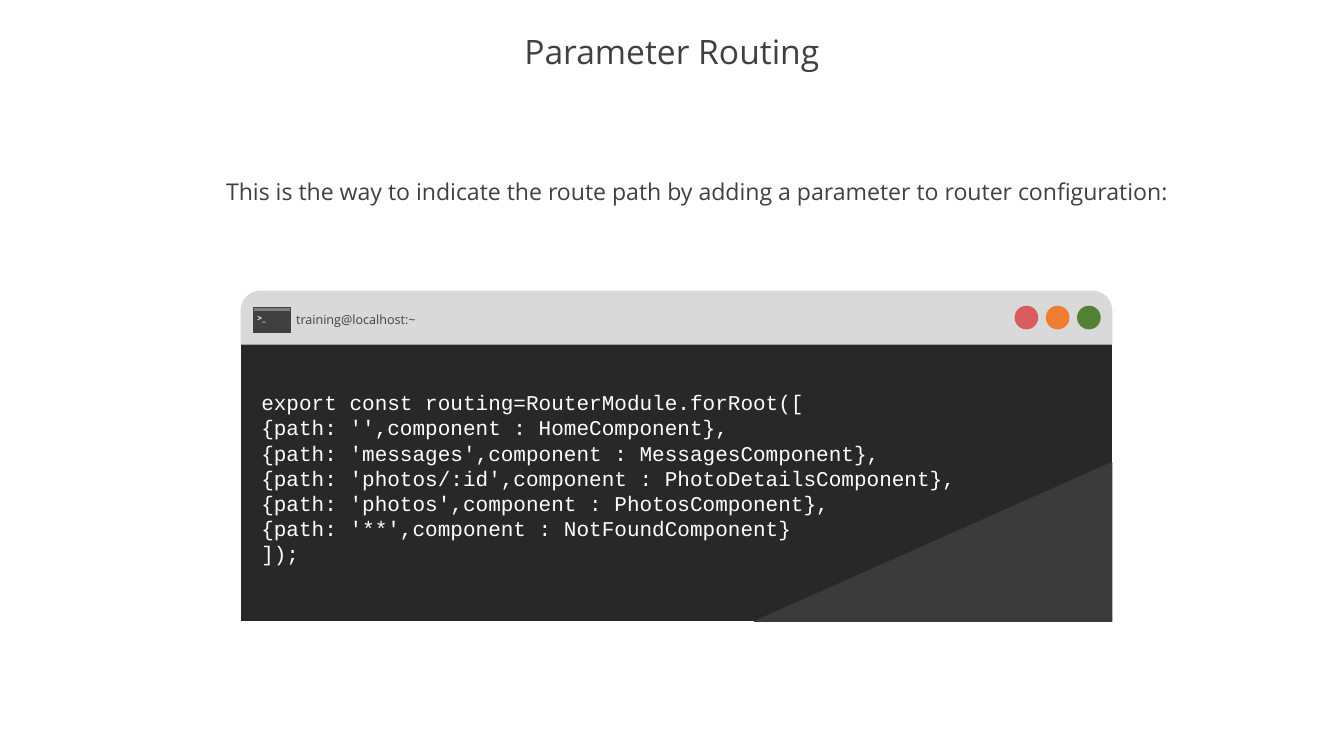
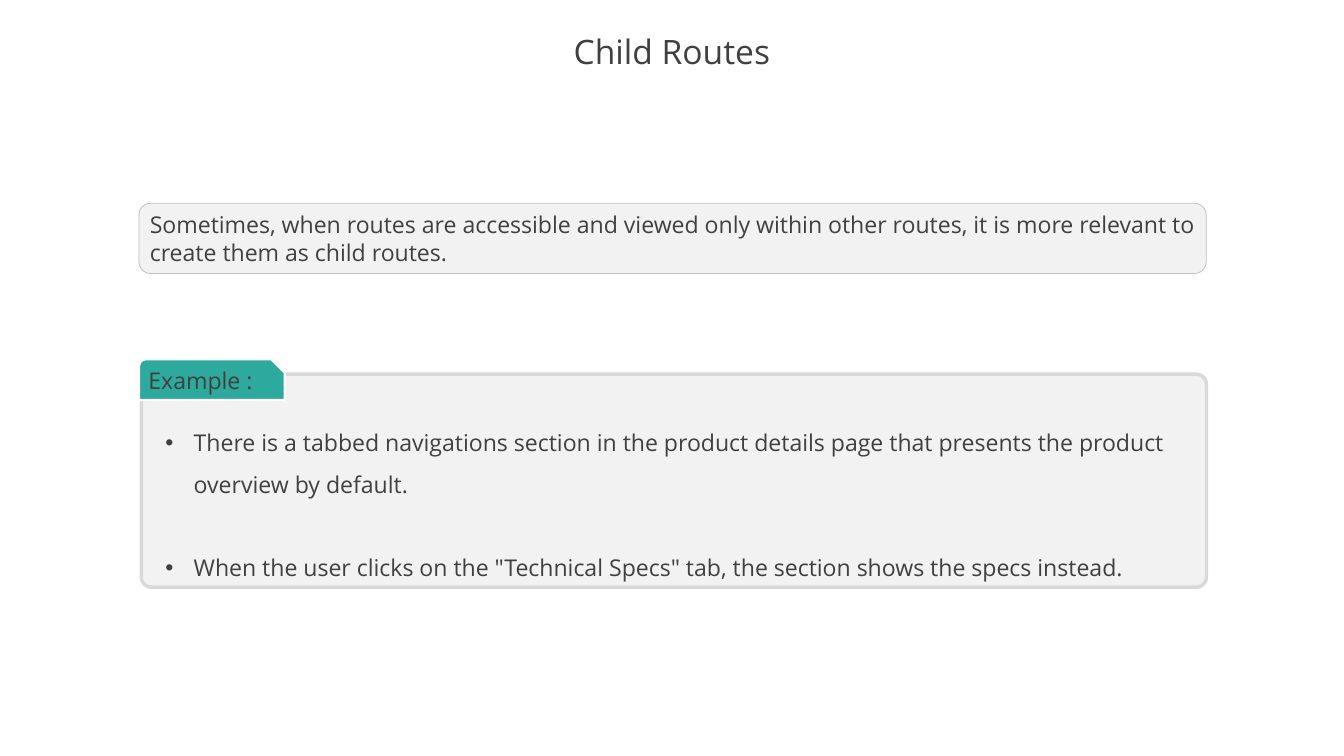
from dataclasses import dataclass

from lxml import etree
from pptx import Presentation
from pptx import util as u
from pptx.dml.color import RGBColor
from pptx.enum import shapes as kinds, text as t
from pptx.oxml import ns

SLIDE_WIDTH, SLIDE_HEIGHT = 45.16, 25.4


@dataclass(frozen=True)
class Theme:
    font: str = "Open Sans"
    code_font: str = "Courier New"
    ink: str = "404040"
    white: str = "FFFFFF"
    panel: str = "F2F2F2"
    panel_line: str = "BFBFBF"
    bar: str = "D9D9D9"
    terminal: str = "282828"
    wedge: str = "3B3B3B"
    icon_strip: str = "808080"
    tab: str = "2DA99D"
    buttons: tuple = ("D95D5D", "ED7D31", "548235")
    title_size: float = 32
    body_size: float = 22
    code_size: float = 20
    label_size: float = 12
    icon_size: float = 8


THEME = Theme()
Kind = kinds.MSO_SHAPE

ROUTING = {
    "title": "Parameter Routing",
    "lead": "This is the way to indicate the route path by adding a parameter to router configuration:",
    "prompt": "training@localhost:~",
    "icon": " >_",
    "code": [
        "export const routing=RouterModule.forRoot([",
        "{path: '',component : HomeComponent},",
        "{path: 'messages',component : MessagesComponent},",
        "{path: 'photos/:id',component : PhotoDetailsComponent},",
        "{path: 'photos',component : PhotosComponent},",
        "{path: '**',component : NotFoundComponent}",
        "]);",
    ],
}
CHILD_ROUTES = {
    "title": "Child Routes",
    "statement": "Sometimes, when routes are accessible and viewed only within other routes, "
                 "it is more relevant to create them as child routes.",
    "tab": "Example :",
    "bullets": [
        "There is a tabbed navigations section in the product details page that presents "
        "the product overview by default.",
        'When the user clicks on the "Technical Specs" tab, the section shows the specs instead.',
    ],
}


def rgb(color):
    return RGBColor.from_string(color)


def cm(*lengths):
    return [u.Cm(length) for length in lengths]


def paint(shape, fill, line=None, line_width=1):
    shape.shadow.inherit = False
    shape.fill.solid()
    shape.fill.fore_color.rgb = rgb(fill)
    shape.line.color.rgb = rgb(line or fill)
    shape.line.width = u.Pt(line_width)


def add_painted(shapes, kind, box, fill, line=None, line_width=1, adjustments=()):
    shape = shapes.add_shape(kind, *cm(*box))
    paint(shape, fill, line, line_width)
    for index, value in enumerate(adjustments):
        shape.adjustments[index] = value
    return shape


def write(shape, lines, size, color=THEME.ink, font=THEME.font, bold=None,
          align=t.PP_ALIGN.LEFT, anchor=t.MSO_ANCHOR.TOP, wrap=True):
    """Fill a shape with one paragraph per line and return the paragraphs."""
    frame = shape.text_frame
    frame.word_wrap = wrap
    frame.vertical_anchor = anchor
    for index, line in enumerate(lines):
        paragraph = frame.add_paragraph() if index else frame.paragraphs[0]
        paragraph.alignment = align
        run = paragraph.add_run()
        run.text = line
        run.font.name = font
        run.font.size = u.Pt(size)
        run.font.bold = bold
        run.font.color.rgb = rgb(color)
    return frame.paragraphs


def add_text(shapes, box, lines, size, **style):
    return write(shapes.add_textbox(*cm(*box)), lines, size, **style)


def add_bullet(paragraph, indent):
    properties = paragraph._p.get_or_add_pPr()
    properties.set("marL", str(u.Cm(indent)))
    properties.set("indent", str(-u.Cm(indent)))
    etree.SubElement(properties, ns.qn("a:buFont"), typeface="Arial")
    etree.SubElement(properties, ns.qn("a:buChar"), char="•")


def add_titled_slide(presentation, title):
    slide = presentation.slides.add_slide(presentation.slide_layouts[5])
    placeholder = slide.shapes.title
    placeholder.left, placeholder.top, placeholder.width, placeholder.height = cm(
        0, 0.89, SLIDE_WIDTH, 1.85)
    paragraphs = write(placeholder, [title], THEME.title_size,
                       align=t.PP_ALIGN.CENTER, anchor=t.MSO_ANCHOR.MIDDLE)
    paragraphs[0].line_spacing = 0.9
    return slide


def add_terminal(slide, content):
    left, top, width = 8.1, 9.78, 29.26
    bar_height, body_height = 1.78, 9.27
    body_top = top + bar_height + 0.02
    right, bottom = left + width, body_top + body_height
    shapes = slide.shapes.add_group_shape().shapes

    add_painted(shapes, Kind.RECTANGLE, (left, body_top, width, body_height), THEME.terminal)
    builder = shapes.build_freeform(*cm(right, bottom - 5.31))
    builder.add_line_segments([cm(right, bottom + 0.03), cm(right - 12.01, bottom + 0.03)], close=True)
    paint(builder.convert_to_shape(), THEME.wedge)
    add_painted(shapes, Kind.ROUND_2_SAME_RECTANGLE, (left, top, width, bar_height),
                THEME.bar, adjustments=(0.368, 0))

    diameter, pitch = 0.76, 1.05
    for index, color in enumerate(THEME.buttons):
        add_painted(shapes, Kind.OVAL,
                    (left + 26.01 + index * pitch, top + 0.51, diameter, diameter), color)

    add_text(shapes, (left + 1.6, top + 0.56, 4.57, 0.76), [content["prompt"]],
             THEME.label_size, wrap=False)
    icon_left, icon_width = left + 0.43, 1.22
    add_painted(shapes, Kind.RECTANGLE, (icon_left, top + 0.71, icon_width, 0.69), THEME.ink)
    add_painted(shapes, Kind.RECTANGLE, (icon_left, top + 0.56, icon_width, 0.13),
                THEME.icon_strip, THEME.ink)
    add_text(shapes, (left + 0.23, top + 0.63, 0.86, 0.61), [content["icon"]],
             THEME.icon_size, color=THEME.white, bold=True, wrap=False)

    code = shapes.add_textbox(*cm(icon_left, body_top + 0.49, 27.66, 7.95))
    code.text_frame.margin_top = u.Cm(1.02)
    write(code, content["code"], THEME.code_size, color=THEME.white, font=THEME.code_font)


def build_routing(presentation, content):
    slide = add_titled_slide(presentation, content["title"])
    add_text(slide.shapes, (7.14, 5.84, 32.56, 1.19), [content["lead"]], THEME.body_size,
             align=t.PP_ALIGN.CENTER, wrap=False)
    add_terminal(slide, content)


def build_child_routes(presentation, content):
    slide = add_titled_slide(presentation, content["title"])
    left = 4.67
    statement = add_painted(slide.shapes, Kind.ROUNDED_RECTANGLE, (left, 6.83, 35.86, 2.36),
                            THEME.panel, THEME.panel_line, 0.75)
    write(statement, [content["statement"]], THEME.body_size)

    shapes = slide.shapes.add_group_shape().shapes
    add_painted(shapes, Kind.ROUNDED_RECTANGLE, (left + 0.08, 12.57, 35.79, 7.16),
                THEME.panel, THEME.bar, 3.25, adjustments=(0.048,))
    tab = add_painted(shapes, Kind.SNIP_ROUND_RECTANGLE, (left, 12.07, 4.9, 1.37),
                      THEME.tab, THEME.white, 2.25, adjustments=(0.167, 0.33))
    write(tab, [content["tab"]], THEME.body_size, anchor=t.MSO_ANCHOR.MIDDLE)

    bullets = add_text(shapes, (left + 0.64, 13.82, 34.06, 5.74), content["bullets"],
                       THEME.body_size)
    for index, paragraph in enumerate(bullets):
        paragraph.line_spacing = 1.5
        paragraph.space_before = u.Pt(39.5 if index else 0)
        add_bullet(paragraph, 0.95)


def main():
    presentation = Presentation()
    presentation.slide_width, presentation.slide_height = cm(SLIDE_WIDTH, SLIDE_HEIGHT)
    build_routing(presentation, ROUTING)
    build_child_routes(presentation, CHILD_ROUTES)
    presentation.save("out.pptx")


if __name__ == "__main__":
    main()
